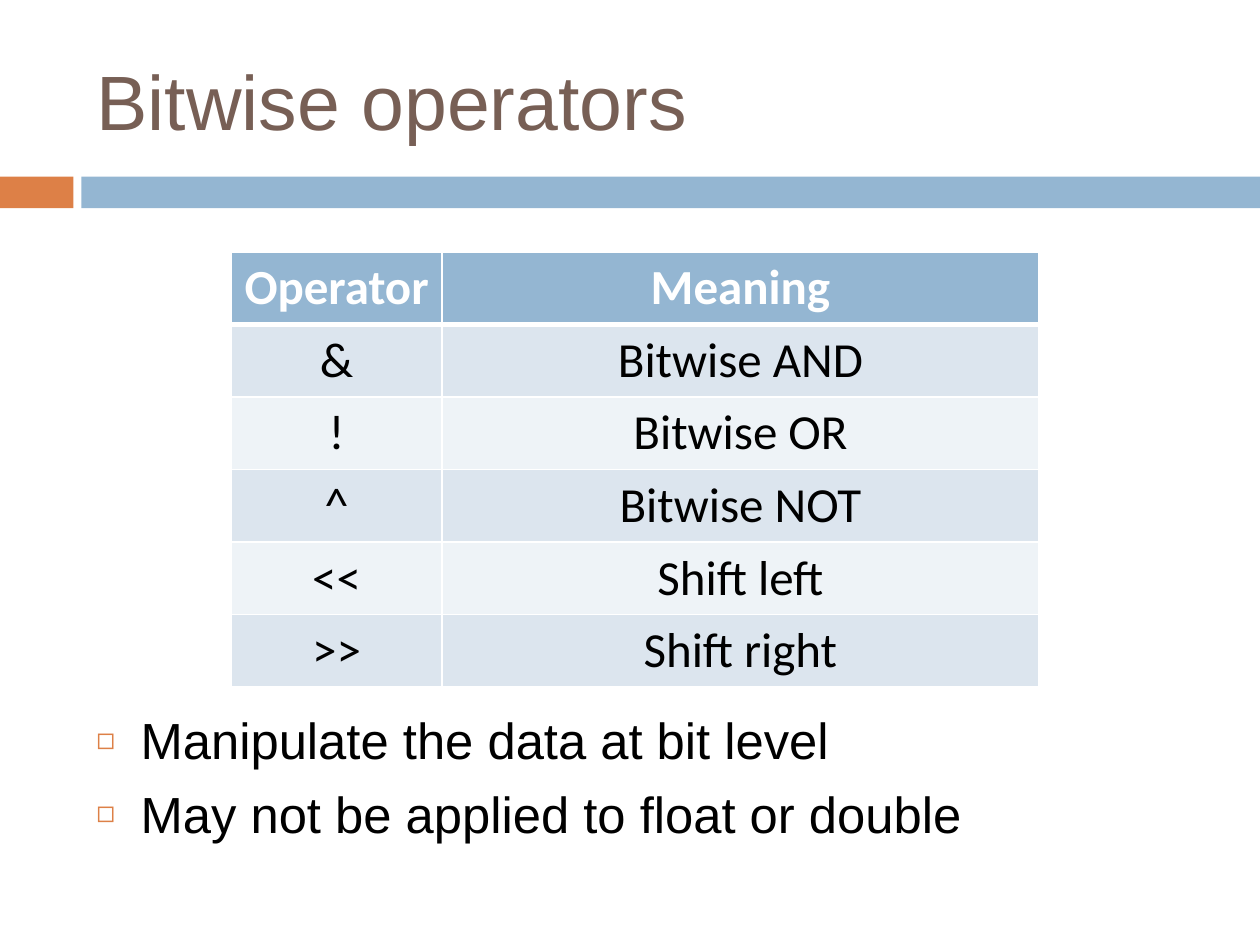
from lxml import etree
from pptx import Presentation
from pptx.dml.color import RGBColor
from pptx.enum.shapes import MSO_SHAPE
from pptx.enum.text import MSO_ANCHOR, MSO_AUTO_SIZE, PP_ALIGN
from pptx.oxml.ns import qn
from pptx.util import Cm, Pt

RECT = MSO_SHAPE.RECTANGLE
LEFT, CENTER = PP_ALIGN.LEFT, PP_ALIGN.CENTER
TOP, MIDDLE = MSO_ANCHOR.TOP, MSO_ANCHOR.MIDDLE
NO_FIT = MSO_AUTO_SIZE.NONE

BLUE, ORANGE, BROWN = "94B6D2", "DD8047", "775F55"
WHITE, BLACK = "FFFFFF", "000000"
BANDS = ("DCE5EE", "EEF3F7")

HEAD = ("Operator", "Meaning")
ROWS = [
    ("&", "Bitwise AND"),
    ("!", "Bitwise OR"),
    ("^", "Bitwise NOT"),
    ("<<", "Shift left"),
    (">>", "Shift right"),
]
NOTES = ["Manipulate the data at bit level",
         "May not be applied to float or double"]


def color(text):
    return RGBColor.from_string(text)


def style(item, values):
    for name, value in values.items():
        setattr(item, name, value)


def add(parent, tag, **values):
    return etree.SubElement(parent, qn(tag), values)


class Deck:
    title_font = {"name": "Arial", "size": Pt(44), "bold": False}
    list_font = {"name": "Arial", "size": Pt(29), "bold": False}
    cell_font = {"name": "Calibri", "size": Pt(28)}

    def __init__(self, show):
        self.slide = show.slides.add_slide(show.slide_layouts[1])

    def place(self, shape, box):
        names = ("left", "top", "width", "height")
        style(shape, dict(zip(names, map(Cm, box))))

    def label(self, para, text, font, tint):
        run = para.add_run()
        run.text = text
        style(run.font, font)
        run.font.color.rgb = color(tint)

    def bar(self, box, fill):
        shape = self.slide.shapes.add_shape(RECT, *map(Cm, box))
        shape.shadow.inherit = False
        shape.fill.solid()
        shape.fill.fore_color.rgb = color(fill)
        shape.line.fill.background()

    def title(self, text, box):
        shape = self.slide.shapes.title
        self.place(shape, box)
        frame = shape.text_frame
        style(frame, {"auto_size": NO_FIT, "word_wrap": True,
                      "vertical_anchor": MIDDLE})
        para = frame.paragraphs[0]
        para.alignment = LEFT
        self.label(para, text, self.title_font, BROWN)

    def bullets(self, lines, box):
        shape = self.slide.placeholders[1]
        self.place(shape, box)
        frame = shape.text_frame
        style(frame, {"auto_size": NO_FIT, "word_wrap": True,
                      "vertical_anchor": TOP})
        for i, text in enumerate(lines):
            para = frame.add_paragraph() if i else frame.paragraphs[0]
            props = para._p.get_or_add_pPr()
            props.set("marL", str(Cm(0.89)))
            props.set("indent", str(Cm(-0.89)))
            add(add(props, "a:buClr"), "a:srgbClr", val=ORANGE)
            add(props, "a:buSzPct", val="60000")
            add(props, "a:buChar", char="◻")
            style(para, {"alignment": LEFT,
                         "space_before": Pt(7 if i else 0)})
            self.label(para, text, self.list_font, BLACK)

    def edges(self, cell, widths):
        props = cell._tc.get_or_add_tcPr()
        for side, width in zip("LRTB", widths):
            line = add(props, f"a:ln{side}", w=str(Pt(width)))
            add(add(line, "a:solidFill"), "a:srgbClr", val=WHITE)

    def table(self, rows, spot, widths, height):
        size = (sum(widths), height * len(rows))
        frame = self.slide.shapes.add_table(
            len(rows), len(widths), *map(Cm, spot + size))
        grid = frame.table
        for col, width in zip(grid.columns, widths):
            col.width = Cm(width)
        for r, row in enumerate(rows):
            grid.rows[r].height = Cm(height)
            top = r == 0
            fill = BLUE if top else BANDS[(r - 1) % 2]
            font = {**self.cell_font, "bold": top}
            for c, text in enumerate(row):
                cell = grid.cell(r, c)
                # The rule under the header is heavier
                self.edges(cell, (1, 1, 3 if r == 1 else 1, 3 if top else 1))
                cell.fill.solid()
                cell.fill.fore_color.rgb = color(fill)
                para = cell.text_frame.paragraphs[0]
                para.alignment = CENTER
                self.label(para, text, font, WHITE if top else BLACK)


def main():
    show = Presentation()
    style(show, {"slide_width": Cm(25.4), "slide_height": Cm(19.05)})
    deck = Deck(show)

    # Title and the band below it
    deck.bar((0, 3.56, 1.48, 0.64), ORANGE)
    deck.bar((1.64, 3.56, 23.76, 0.64), BLUE)
    deck.title("Bitwise operators", (1.69, 0.64, 22.66, 2.74))

    # Operator table
    deck.table([HEAD] + ROWS, (4.66, 5.08), (4.25, 12.03), 1.44)

    # Remarks
    deck.bullets(NOTES, (1.69, 14.17, 22.66, 3.38))

    show.save("out.pptx")


if __name__ == "__main__":
    main()
